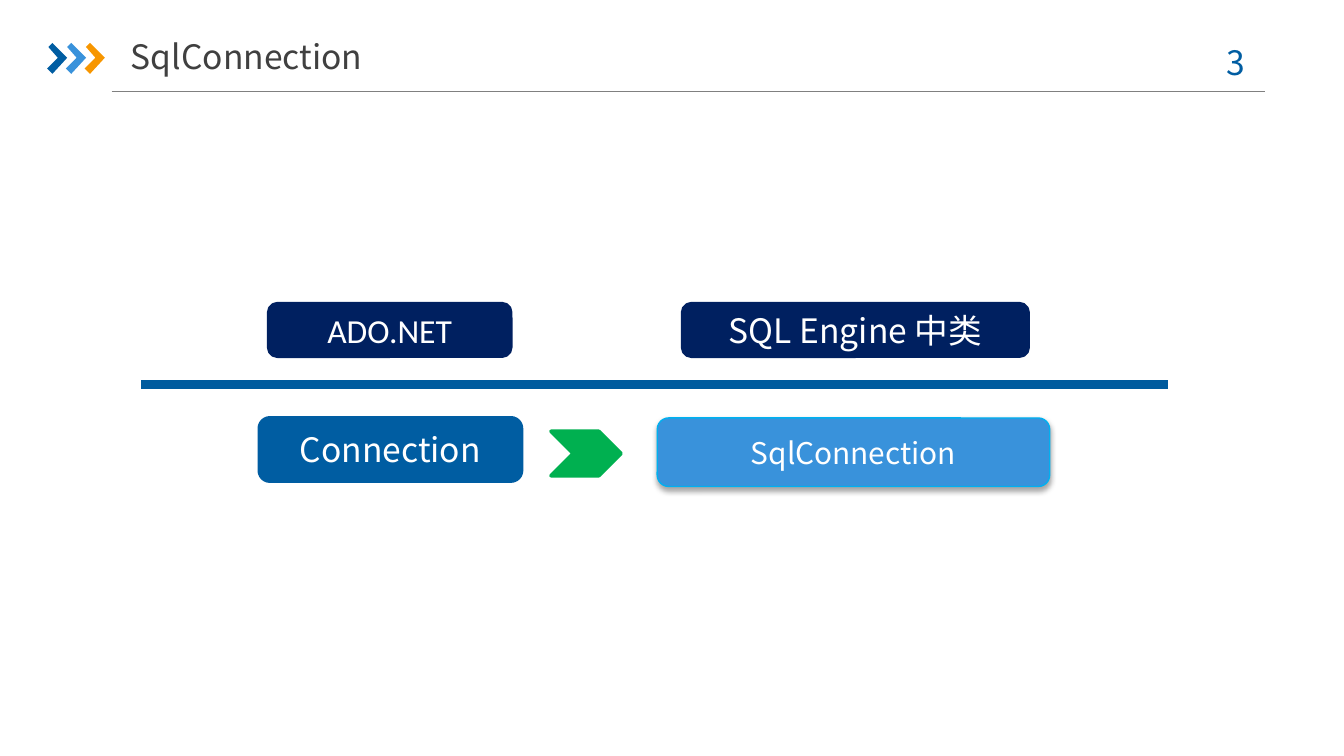
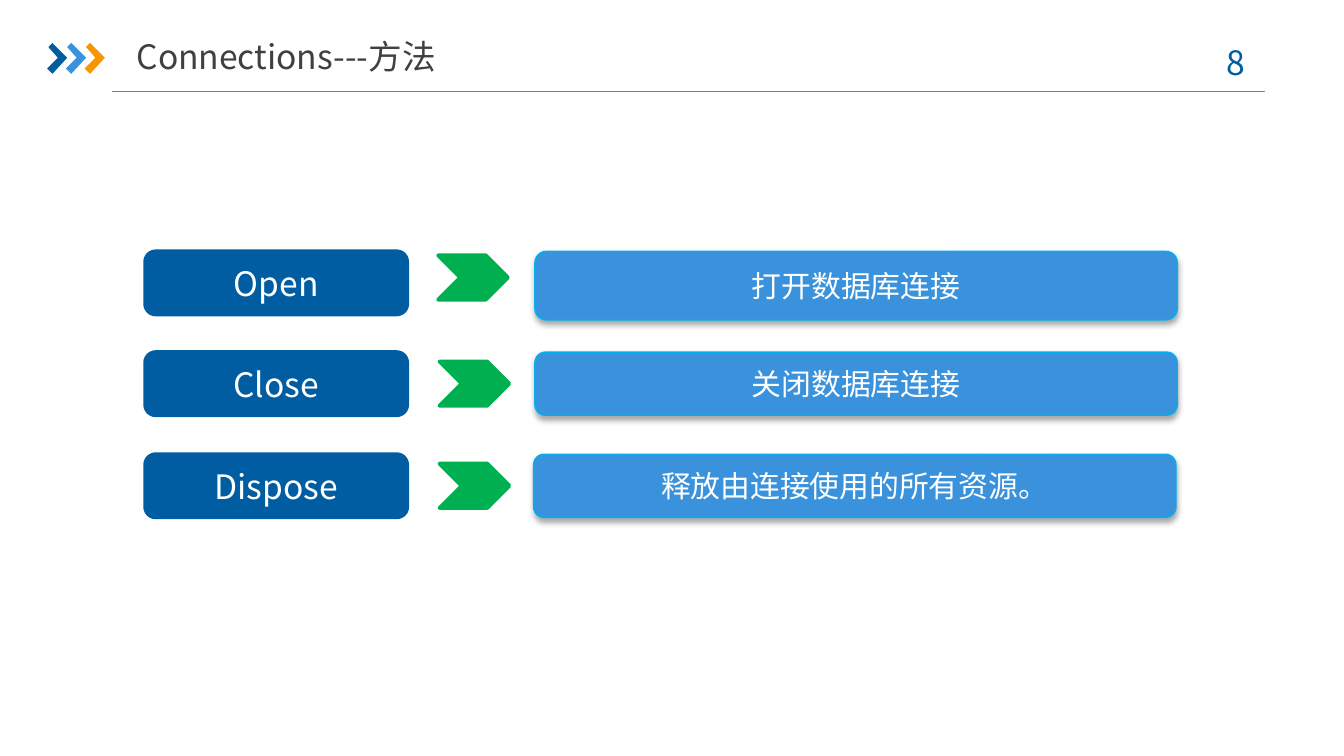
import lxml.etree
import pptx
import pptx.dml.color
import pptx.enum.shapes
import pptx.enum.text
import pptx.oxml.ns
import pptx.util

PX = 9144  # EMU per px, 100 px to the inch
SLIDE_WIDTH = 1000
FONT = "Noto Sans CJK SC"
COLORS = {
    "blue": "005DA2", "sky": "3992DB", "orange": "F79600", "cyan": "00B0F0",
    "green": "00B050", "navy": "002060", "bar": "005B9E", "rule": "808080",
    "title": "404040", "white": "FFFFFF",
}
SHAPES = pptx.enum.shapes.MSO_SHAPE
STYLES = {
    "heading": {"shape": SHAPES.ROUNDED_RECTANGLE, "fill": "navy", "line": "navy", "width": 2},
    "member": {"shape": SHAPES.ROUNDED_RECTANGLE, "fill": "blue", "line": "blue", "width": 2},
    "detail": {"shape": SHAPES.ROUNDED_RECTANGLE, "fill": "sky", "line": "cyan", "width": 0.75,
               "size": 16, "shadow": True},
    "arrow": {"shape": SHAPES.CHEVRON, "fill": "green", "line": "green", "width": 2},
}

CONNECTION = {"title": "SqlConnection", "number": 3, "title_box": (77, 21, 213, 42)}
METHODS = {"title": "Connections---方法", "number": 8, "title_box": (83, 21, 260, 42)}
CLASS_PARTS = [  # style, box, text, font
    ("member", (193, 311, 195, 47), "Connection", FONT),
    ("detail", (489, 311, 292, 51), "SqlConnection", FONT),
    ("arrow", (410, 321, 52, 33), "", FONT),
    ("heading", (200, 226, 180, 39), "ADO.NET", "Calibri"),
    ("heading", (508, 226, 257, 39), "SQL Engine 中类", FONT),
]
METHOD_ROWS = [  # name, purpose, top, arrow position, purpose left and height
    ("Open", "打开数据库连接", 187, (326, 190), 398, 51),
    ("Close", "关闭数据库连接", 262, (327, 269), 398, 47),
    ("Dispose", "释放由连接使用的所有资源。", 338, (327, 345), 397, 47),
]

LOGO_POINTS = [(36, 35), (39, 32), (50, 43), (39, 55), (35, 51), (43, 43)]
LOGO_COLORS = ["blue", "sky", "orange"]
LOGO_STEP = 14


def emu(values):
    return [v * PX for v in values]


def rgb(name):
    return pptx.dml.color.RGBColor.from_string(COLORS[name])


def add_child(parent, tag, **attrs):
    return lxml.etree.SubElement(parent, pptx.oxml.ns.qn(tag), attrs)


def set_text(tf, text, color, size=18, font=FONT, **frame):
    for key, value in frame.items():
        setattr(tf, key, value)
    p = tf.paragraphs[0]
    p.alignment = pptx.enum.text.PP_ALIGN.CENTER
    r = p.add_run()
    r.text = text
    for key, value in {"size": pptx.util.Pt(size), "name": font, "bold": False}.items():
        setattr(r.font, key, value)
    r.font.color.rgb = rgb(color)
    add_child(r.font._element, "a:ea", typeface=FONT)


def add_shadow(sp):
    effects = sp._element.spPr.find(pptx.oxml.ns.qn("a:effectLst"))
    shadow = add_child(effects, "a:outerShdw", blurRad="39370", dist="22860",
                       dir="5400000", rotWithShape="0")
    color = add_child(shadow, "a:srgbClr", val="000000")
    add_child(color, "a:alpha", val="35000")


def add_part(slide, style_name, box, text="", font=FONT):
    style = STYLES[style_name]
    sp = slide.shapes.add_shape(style["shape"], *emu(box))
    sp.shadow.inherit = False
    sp.fill.solid()
    sp.fill.fore_color.rgb = rgb(style["fill"])
    sp.line.color.rgb = rgb(style["line"])
    sp.line.width = pptx.util.Pt(style["width"])
    if style.get("shadow"):
        add_shadow(sp)
    if text:
        set_text(sp.text_frame, text, "white", style.get("size", 18), font,
                 vertical_anchor=pptx.enum.text.MSO_ANCHOR.MIDDLE)


def add_line(slide, left, right, y, color, width):
    line = slide.shapes.add_connector(
        pptx.enum.shapes.MSO_CONNECTOR.STRAIGHT, *emu((left, y, right, y)))
    line.line.color.rgb = rgb(color)
    line.line.width = pptx.util.Pt(width)
    add_child(line._element.spPr, "a:effectLst")


def add_logo(slide):
    group = slide.shapes.add_group_shape()
    for i, color in enumerate(LOGO_COLORS):
        points = [(x + i * LOGO_STEP, y) for x, y in LOGO_POINTS]
        outline = group.shapes.build_freeform(*points[0], scale=PX)
        outline.add_line_segments(points[1:], close=True)
        sp = outline.convert_to_shape()
        sp.shadow.inherit = False
        sp.fill.solid()
        sp.fill.fore_color.rgb = rgb(color)
        sp.line.fill.background()


def add_slide(prs, head):
    """Add a slide with the shared rule, logo, number and title."""
    slide = prs.slides.add_slide(prs.slide_layouts.get_by_name("Title Only"))
    add_line(slide, 83, 941, 68, "rule", 0.75)
    add_logo(slide)
    number = slide.shapes.add_textbox(*emu((886, 26, 73, 40)))
    set_text(number.text_frame, f"{head['number']} ", "blue", word_wrap=True)
    title = slide.shapes.title
    for key, value in zip(("left", "top", "width", "height"), emu(head["title_box"])):
        setattr(title, key, value)
    set_text(title.text_frame, head["title"], "title", margin_left=0, margin_right=0,
             vertical_anchor=pptx.enum.text.MSO_ANCHOR.MIDDLE,
             auto_size=pptx.enum.text.MSO_AUTO_SIZE.NONE)
    return slide


def build_connection(prs):
    slide = add_slide(prs, CONNECTION)
    for part in CLASS_PARTS:
        add_part(slide, *part)
    add_line(slide, 105, 869, 286, "bar", 4.5)


def build_methods(prs):
    slide = add_slide(prs, METHODS)
    for name, purpose, top, arrow, left, height in METHOD_ROWS:
        add_part(slide, "member", (108, top, 195, 47), name)
        add_part(slide, "detail", (left, top, 478, height), purpose)
        add_part(slide, "arrow", (*arrow, 52, 33))


def main():
    prs = pptx.Presentation()
    prs.slide_width = SLIDE_WIDTH * PX
    prs.slide_height = prs.slide_width * 9 // 16
    build_connection(prs)
    build_methods(prs)
    prs.save("out.pptx")


if __name__ == "__main__":
    main()
